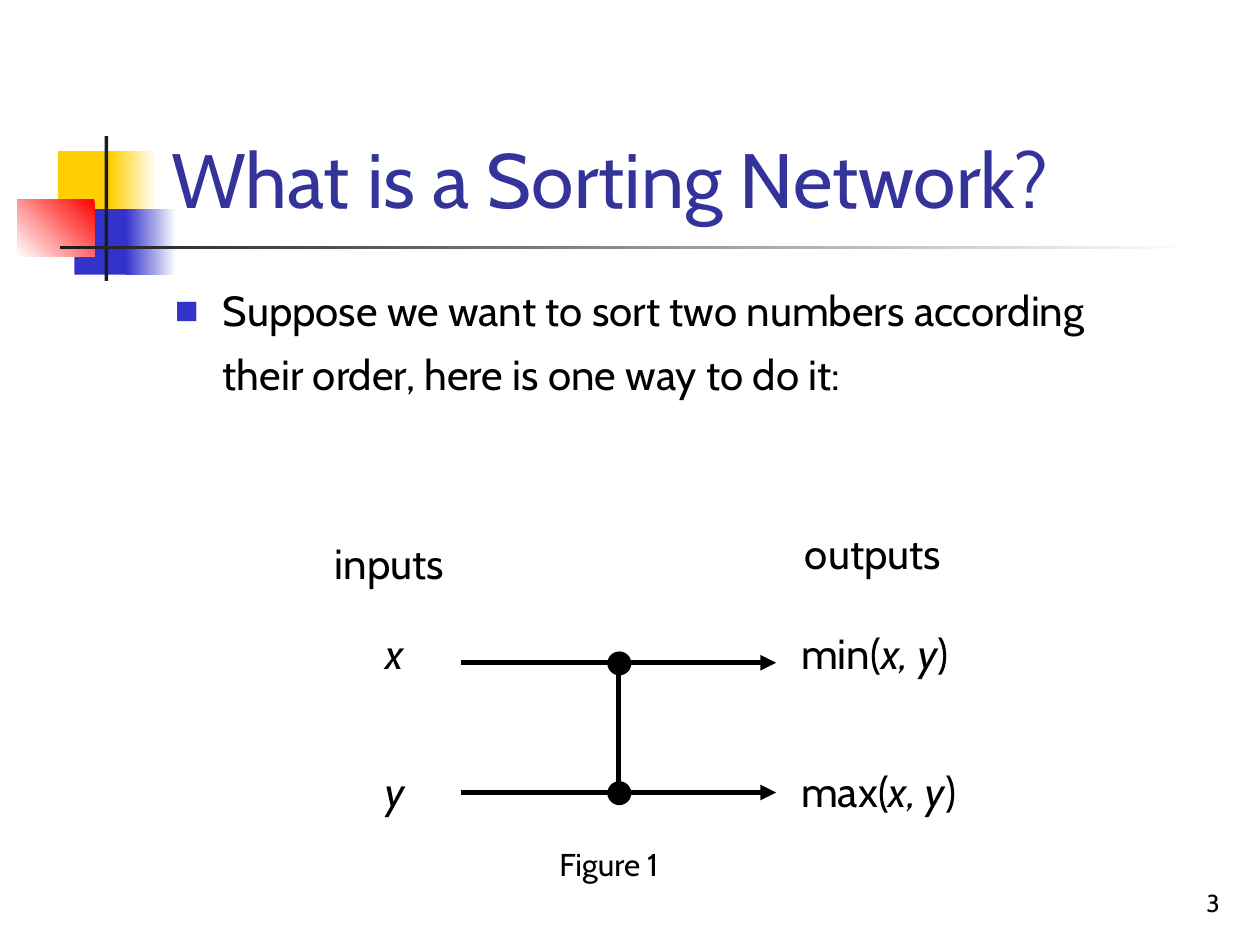
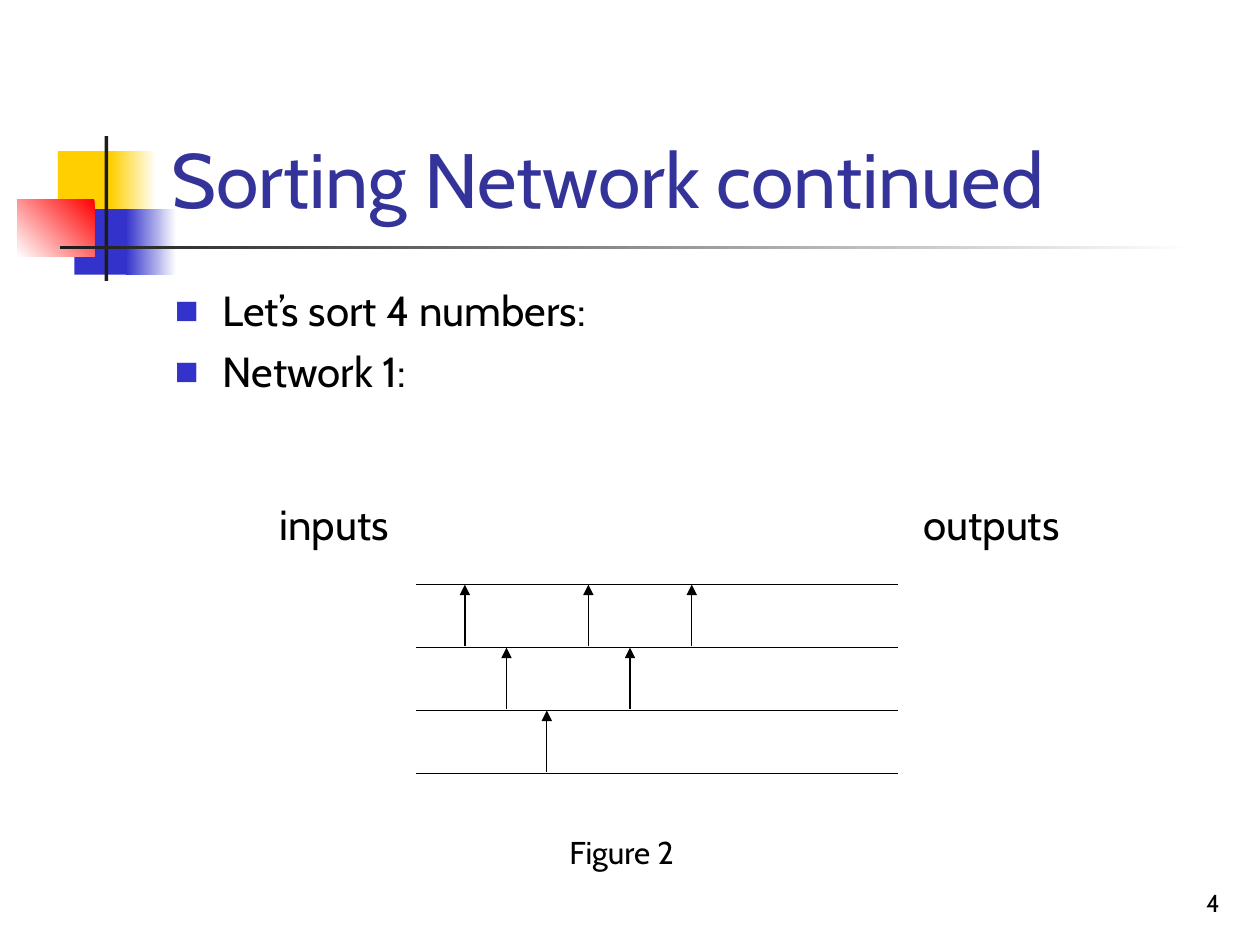
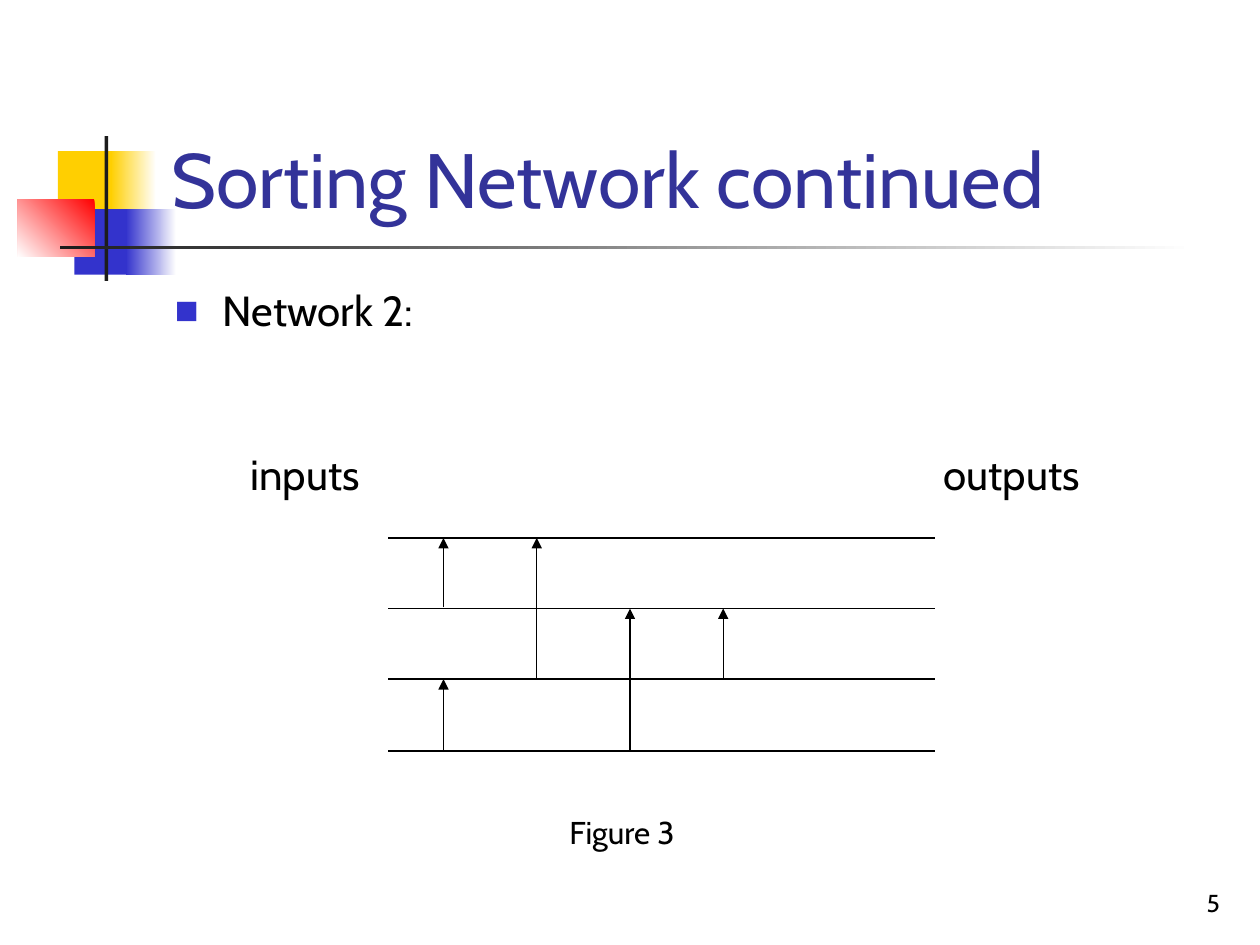
from dataclasses import dataclass

from lxml.etree import SubElement
from pptx import Presentation
from pptx.dml.color import RGBColor
from pptx.enum.shapes import MSO_CONNECTOR, MSO_SHAPE
from pptx.enum.text import MSO_ANCHOR, PP_ALIGN
from pptx.oxml.ns import qn
from pptx.util import Emu, Pt

PX = 9144  # EMU per px, 100 px to the inch


@dataclass(frozen=True)
class Theme:
    font: str = "Cabin"
    title_color: str = "333399"
    ink: str = "000000"
    white: str = "FFFFFF"
    yellow: str = "FFCF01"
    blue: str = "3333CC"
    red: str = "FF0000"
    rule: str = "1C1C1C"
    title_size: int = 44
    body_size: int = 24
    caption_size: int = 18
    number_size: int = 14
    thin: float = 0.75
    thick: float = 3


def px(*lengths):
    return [Emu(length * PX) for length in lengths]


def apply(target, formats):
    for name, value in formats.items():
        setattr(target, name, value)


class Deck:
    def __init__(self, theme):
        self.theme = theme
        self.presentation = Presentation()
        width, height = px(1000, 750)
        apply(self.presentation, {"slide_width": width, "slide_height": height})
        self.slide = None

    def new_slide(self, title, number):
        t = self.theme
        self.slide = self.presentation.slides.add_slide(self.presentation.slide_layouts[6])
        self.ornament()
        self.text((126, 23, 852, 160), [title], t.title_size, t.title_color,
                  anchor=MSO_ANCHOR.BOTTOM)
        self.text((770, 683, 208, 50), [str(number)], t.number_size,
                  anchor=MSO_ANCHOR.BOTTOM, align=PP_ALIGN.RIGHT)

    def ornament(self):
        """Coloured blocks and the fading rule beside the title."""
        t = self.theme
        self.shape((46, 120, 48, 52), t.yellow)
        self.shape((88, 120, 36, 52), t.white, t.yellow)
        self.shape((59, 166, 46, 52), t.blue)
        self.shape((100, 166, 40, 52), t.white, t.blue)
        self.shape((14, 158, 61, 46), t.red, t.white, angle=225)
        self.shape((83, 108, 3, 115), t.rule)
        self.shape((48, 195, 900, 3), t.white, t.rule)

    def shape(self, box, color, fade_to=None, angle=180, kind=MSO_SHAPE.RECTANGLE):
        shape = self.slide.shapes.add_shape(kind, *px(*box))
        shape.shadow.inherit = False
        shape.line.fill.background()
        if fade_to is None:
            shape.fill.solid()
            shape.fill.fore_color.rgb = RGBColor.from_string(color)
            return
        shape.fill.gradient()
        shape.fill.gradient_angle = angle
        for stop, position, stop_color in zip(shape.fill.gradient_stops, (0, 1), (color, fade_to)):
            stop.position = position
            stop.color.rgb = RGBColor.from_string(stop_color)

    def text_frame(self, box, anchor=MSO_ANCHOR.TOP):
        frame = self.slide.shapes.add_textbox(*px(*box)).text_frame
        apply(frame, {"word_wrap": True, "vertical_anchor": anchor})
        return frame

    def add_run(self, paragraph, text, size, color=None, italic=False):
        run = paragraph.add_run()
        run.text = text
        apply(run.font, {"name": self.theme.font, "size": Pt(size), "italic": italic})
        run.font.color.rgb = RGBColor.from_string(color or self.theme.ink)

    def text(self, box, parts, size, color=None, anchor=MSO_ANCHOR.TOP, align=PP_ALIGN.LEFT):
        """One paragraph whose parts alternate between upright and italic."""
        paragraph = self.text_frame(box, anchor).paragraphs[0]
        paragraph.alignment = align
        for index, part in enumerate(parts):
            if part:
                self.add_run(paragraph, part, size, color, italic=index % 2 == 1)

    def label(self, left, top, width, *parts):
        self.text((left, top, width, 50), parts, self.theme.body_size)

    def caption(self, left, top, text):
        self.text((left, top, 115, 40), [text], self.theme.caption_size, anchor=MSO_ANCHOR.MIDDLE)

    def bullets(self, box, items, line_spacing=None):
        frame = self.text_frame(box)
        for index, item in enumerate(items):
            paragraph = frame.add_paragraph() if index else frame.paragraphs[0]
            apply(paragraph, {"space_before": Pt(6 if index else 0),
                              "line_spacing": line_spacing})
            properties = paragraph._p.get_or_add_pPr()
            indent = 38 * PX
            properties.set("marL", str(indent))
            properties.set("indent", str(-indent))
            bullet_color = SubElement(properties, qn("a:buClr"))
            SubElement(bullet_color, qn("a:srgbClr"), val=self.theme.blue)
            SubElement(properties, qn("a:buSzPct"), val="60000")
            SubElement(properties, qn("a:buFont"), typeface=self.theme.font)
            SubElement(properties, qn("a:buChar"), char="■")
            self.add_run(paragraph, item, self.theme.body_size)

    def line(self, start, end, width, arrow=False):
        connector = self.slide.shapes.add_connector(MSO_CONNECTOR.STRAIGHT, *px(*start, *end))
        connector.line.width = Pt(width)
        connector.line.color.rgb = RGBColor.from_string(self.theme.ink)
        if arrow:
            SubElement(connector.line._get_or_add_ln(), qn("a:tailEnd"), type="triangle")
        SubElement(connector._element.spPr, qn("a:effectLst"))

    def network(self, left, right, top, bottom, comparators):
        """Four evenly spaced wires and arrows given as (x, from wire, to wire)."""
        wires = [top + (bottom - top) * i // 3 for i in range(4)]
        for y in wires:
            self.line((left, y), (right, y), self.theme.thin)
        for x, source, target in comparators:
            self.line((x, wires[source] - 1), (x, wires[target]), self.theme.thin, arrow=True)


def main():
    theme = Theme()
    deck = Deck(theme)

    # A single comparator
    deck.new_slide("What is a Sorting Network?", 3)
    deck.bullets((129, 210, 780, 170),
                 ["Suppose we want to sort two numbers according their order, "
                  "here is one way to do it:"], line_spacing=Pt(36.6))
    min_wire, max_wire, comparator_x = 526, 629, 491
    deck.line((comparator_x, min_wire), (comparator_x, max_wire), theme.thick)
    for y in (min_wire, max_wire):
        deck.shape((comparator_x - 9, y - 9, 19, 19), theme.ink, kind=MSO_SHAPE.OVAL)
        deck.line((366, y), (616, y), theme.thick, arrow=True)
    deck.label(256, 422, 127, "inputs")
    deck.label(629, 414, 142, "outputs")
    for top, variable, function in ((493, "x", "min("), (603, "y", "max(")):
        deck.label(296, top, 50, "", variable)
        deck.label(626, top, 159, function, "x, y", ")")
    deck.caption(434, 666, "Figure 1")

    # Network 1
    deck.new_slide("Sorting Network continued", 4)
    deck.bullets((129, 221, 850, 450), ["Let’s sort 4 numbers:", "Network 1:"])
    deck.network(330, 713, 464, 614, [(369, 1, 0), (402, 2, 1), (434, 3, 2),
                                      (467, 1, 0), (500, 2, 1), (549, 1, 0)])
    deck.label(212, 391, 118, "inputs")
    deck.label(723, 391, 142, "outputs")
    deck.caption(442, 656, "Figure 2")

    # Network 2
    deck.new_slide("Sorting Network continued", 5)
    deck.bullets((129, 221, 850, 450), ["Network 2:"])
    deck.network(308, 742, 427, 596, [(352, 1, 0), (352, 3, 2), (426, 2, 0),
                                      (500, 3, 1), (574, 2, 1)])
    deck.label(189, 351, 118, "inputs")
    deck.label(739, 351, 142, "outputs")
    deck.caption(442, 640, "Figure 3")

    deck.presentation.save("out.pptx")


if __name__ == "__main__":
    main()
